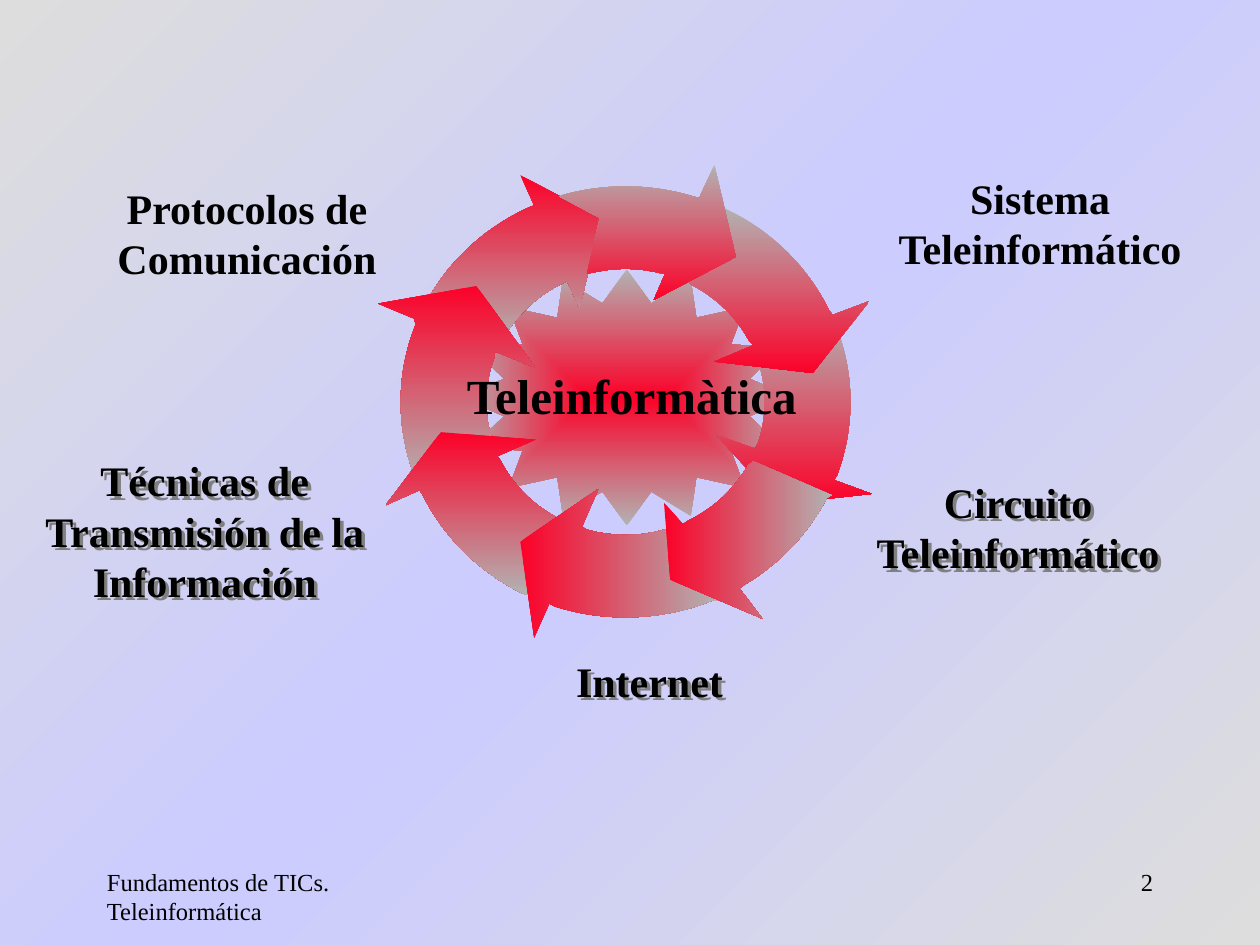
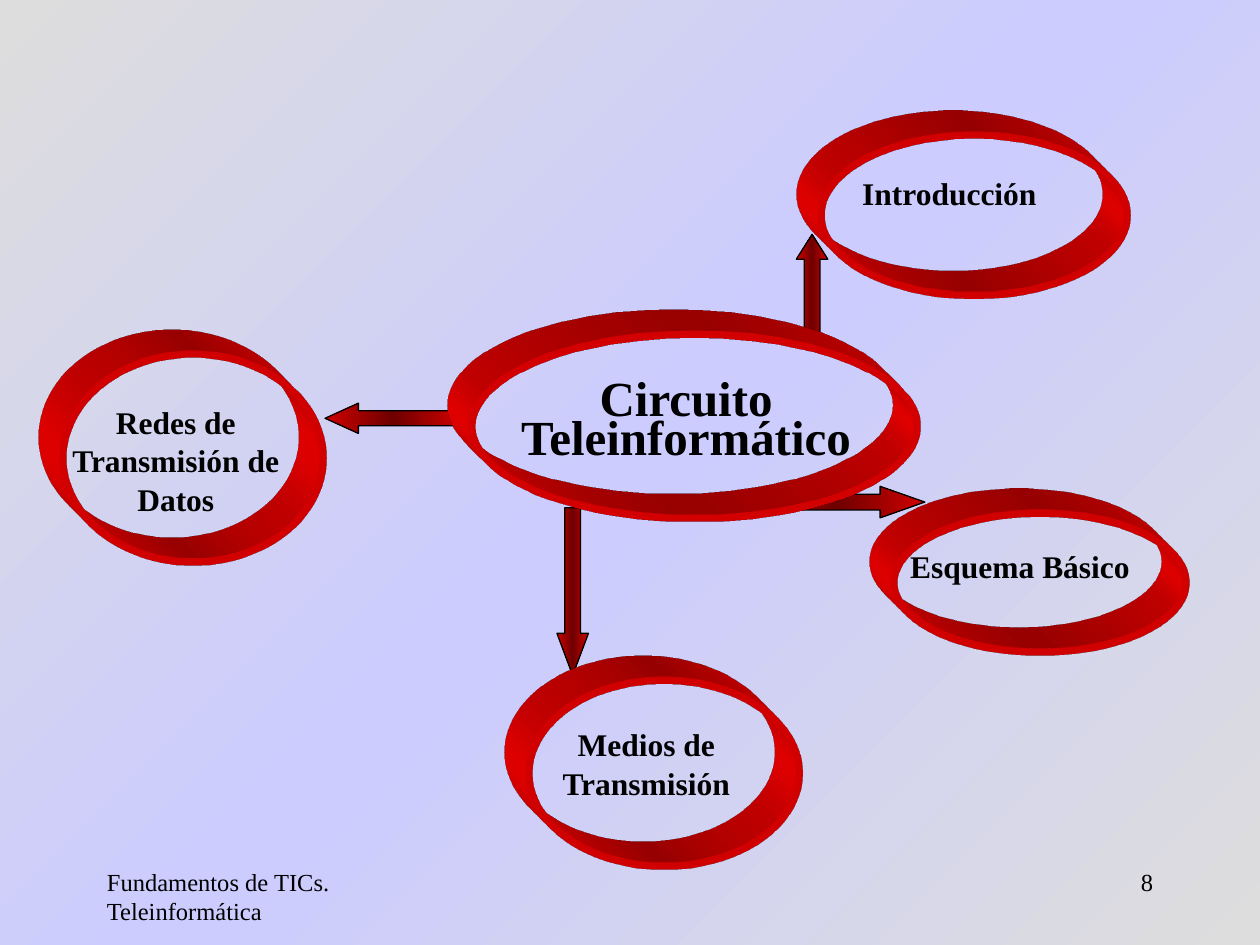
from math import atan2, cos, remainder, sin, tau

from pptx import Presentation
from pptx.dml.color import RGBColor
from pptx.enum.shapes import MSO_SHAPE as SHAPE
from pptx.enum.text import MSO_ANCHOR as ANCHOR, PP_ALIGN as ALIGN
from pptx.oxml import parse_xml
from pptx.oxml.ns import nsdecls, qn
from pptx.util import Pt

PX = 9144  # 100 px to the inch
FONT = "Times New Roman"
FOOTER = "Fundamentos de TICs. Teleinformática"
BLACK, RED, SHADE = "000000", "FF0000", "808080"
BACKDROP = ["DDDDDD", "CCCCFF", "DDDDDD"]
RED_GREY = ["FC0128", "B2B2B2"]
GREY_RED = RED_GREY[::-1]
ARROW_REDS = ["D00000", "6E0000", "D00000"]


def px(n):
    return round(n * PX)


def rgb(code):
    return RGBColor.from_string(code)


def arc_between(center, radii, p, q, steps):
    """Points from p to q along an ellipse, the short way round."""
    a, b = (atan2((y - center[1]) / radii[1], (x - center[0]) / radii[0])
            for x, y in (p, q))
    step = remainder(b - a, tau) / steps
    middle = [(center[0] + radii[0] * cos(a + i * step),
               center[1] + radii[1] * sin(a + i * step))
              for i in range(1, steps)]
    return [p] + middle + [q]


class Deck:
    def __init__(self):
        self.prs = Presentation()
        self.prs.slide_width, self.prs.slide_height = px(1000), px(750)
        self.s = None

    def slide(self, number):
        self.s = self.prs.slides.add_slide(self.prs.slide_layouts[6])
        self.gradient(self.s.background.fill, self.s.element, BACKDROP, 45)
        self.text(75, 683, 208, 50, FOOTER, 14, bold=False, align=ALIGN.LEFT)
        self.text(717, 683, 208, 50, str(number), 14, bold=False,
                  align=ALIGN.RIGHT)

    def gradient(self, fill, element, colors, angle=None):
        """Fill evenly spaced stops: linear, or from the middle if no angle."""
        fill.gradient()
        grad = element.find(".//" + qn("a:gradFill"))
        for child in list(grad):
            grad.remove(child)
        last = len(colors) - 1
        stops = "".join(
            f'<a:gs pos="{100000 * i // last}"><a:srgbClr val="{c}"/></a:gs>'
            for i, c in enumerate(colors))
        grad.append(parse_xml(f'<a:gsLst {nsdecls("a")}>{stops}</a:gsLst>'))
        if angle is None:
            grad.append(parse_xml(
                f'<a:path {nsdecls("a")} path="shape"><a:fillToRect l="50000" '
                't="50000" r="50000" b="50000"/></a:path>'))
        else:
            grad.append(parse_xml(
                f'<a:lin {nsdecls("a")} ang="{angle * 60000}" scaled="0"/>'))

    def style(self, sp, colors=None, angle=None, line=None, width=0.75):
        sp.shadow.inherit = False
        if line:
            sp.line.color.rgb = rgb(line)
            sp.line.width = Pt(width)
        else:
            sp.line.fill.background()
        if colors:
            self.gradient(sp.fill, sp.element, colors, angle)
        else:
            sp.fill.background()

    def shape(self, kind, x, y, w, h, adjust=(), **style):
        sp = self.s.shapes.add_shape(kind, px(x), px(y), px(w), px(h))
        for i, value in enumerate(adjust):
            sp.adjustments[i] = value
        self.style(sp, **style)
        return sp

    def outline(self, points, **style):
        points = [(px(x), px(y)) for x, y in points]
        builder = self.s.shapes.build_freeform(*points[0])
        builder.add_line_segments(points[1:], close=True)
        self.style(builder.convert_to_shape(), **style)

    def ring(self, x, y, w, h):
        """Ellipse outline extruded towards the upper left."""
        sp = self.shape(SHAPE.OVAL, x, y, w, h, line=RED, width=4.25)
        props = sp.element.spPr
        props.append(parse_xml(
            f'<a:scene3d {nsdecls("a")}>'
            '<a:camera prst="legacyObliqueTopLeft"/>'
            '<a:lightRig rig="legacyFlat3" dir="b"/></a:scene3d>'))
        props.append(parse_xml(
            f'<a:sp3d {nsdecls("a")} extrusionH="430200" '
            'prstMaterial="legacyMatte">'
            '<a:bevelT w="13500" h="13500" prst="angle"/>'
            '<a:bevelB w="13500" h="13500" prst="angle"/>'
            f'<a:extrusionClr><a:srgbClr val="{RED}"/></a:extrusionClr>'
            f'<a:contourClr><a:srgbClr val="{RED}"/></a:contourClr>'
            '</a:sp3d>'))

    def text(self, x, y, w, h, words, size, bold=True, align=ALIGN.CENTER,
             anchor=ANCHOR.TOP, spacing=None, shadow=False):
        box = self.s.shapes.add_textbox(px(x), px(y), px(w), px(h))
        tf = box.text_frame
        tf.word_wrap = True
        tf.vertical_anchor = anchor
        p = tf.paragraphs[0]
        p.alignment = align
        if spacing:
            p.line_spacing = Pt(spacing)
        r = p.add_run()
        r.text = words
        r.font.size, r.font.bold, r.font.name = Pt(size), bold, FONT
        r.font.color.rgb = rgb(BLACK)
        if shadow:
            box.element.spPr.append(parse_xml(
                f'<a:effectLst {nsdecls("a")}><a:outerShdw dist="35921" '
                f'dir="2700000" algn="ctr" rotWithShape="0">'
                f'<a:srgbClr val="{SHADE}"/></a:outerShdw></a:effectLst>'))


# Wheel of arrows: outer edge, head, inner edge and tail notch, colours, angle
HUB, OUTER, INNER = (496.5, 319), (178.5, 171), (110.5, 105.5)
WHEEL = [
    ([(335, 246), (424, 163)], [(413, 139), (477, 173), (460, 245)],
     [(450, 223), (396, 274)], [], RED_GREY, 90),
    ([(331, 384), (329, 253)], [(300, 241), (378, 227), (425, 292)],
     [(393, 279), (391, 347)], [], RED_GREY, 90),
    ([(418, 472), (333, 389)], [(306, 401), (350, 343), (425, 349)],
     [(395, 362), (447, 412)], [], RED_GREY, 90),
    ([(570, 477), (436, 479)], [(424, 506), (413, 430), (475, 388)],
     [(462, 418), (532, 420)], [], RED_GREY, 0),
    ([(662, 251), (662, 381)], [(692, 392), (619, 400), (568, 345)],
     [(599, 356), (602, 286)], [], GREY_RED, 90),
    ([(575, 165), (661, 250)], [(690, 239), (645, 296), (567, 287)],
     [(598, 274), (546, 224)], [], GREY_RED, 90),
    ([(444, 156), (555, 157)], [(567, 131), (584, 204), (519, 238)],
     [(528, 217), (466, 217)], [(476, 173)], GREY_RED, 90),
    ([(660, 393), (587, 467)], [(605, 491), (532, 460), (527, 399)],
     [(542, 416), (598, 366)], [], RED_GREY, 0),
]
# Wheel labels: box, words, shadow
TOPICS = [
    (667, 373, 282, 90, "Circuito Teleinformático", True),
    (0, 356, 325, 130, "Técnicas de Transmisión de la Información", True),
    (303, 515, 425, 50, "Internet", True),
    (42, 140, 308, 90, "Protocolos de Comunicación", False),
    (689, 132, 273, 90, "Sistema Teleinformático", False),
]
# Arrows leaving the central ring: kind, box, head length
BRANCHES = [
    (SHAPE.DOWN_ARROW, 442, 403, 25, 133, 1.33),
    (SHAPE.UP_ARROW, 632, 186, 25, 79, 0.79),
    (SHAPE.RIGHT_ARROW, 592, 386, 142, 25, 1.42),
    (SHAPE.LEFT_ARROW, 258, 320, 108, 24, 1.1),
]
# Rings: ellipse box, text box, words, size
RINGS = [
    ((652, 107, 242, 127), (630, 133, 247, 41), "Introducción", 18),
    ((50, 281, 206, 165), (32, 314, 215, 102),
     "Redes de Transmisión de Datos", 18),
    ((420, 540, 214, 147), (401, 570, 224, 71), "Medios de Transmisión", 18),
    ((375, 265, 353, 146), (375, 303, 339, 71),
     "Circuito Teleinformático", 28),
    ((710, 407, 231, 110), (689, 429, 241, 41), "Esquema Básico", 18),
]


def main():
    deck = Deck()

    # Topic wheel
    deck.slide(2)
    deck.shape(SHAPE.STAR_16_POINT, 365, 214, 265, 203, [0.375],
               colors=RED_GREY)
    for outer, head, inner, notch, colors, angle in WHEEL:
        points = (arc_between(HUB, OUTER, *outer, steps=30) + head
                  + arc_between(HUB, INNER, *inner, steps=16) + notch)
        deck.outline(points, colors=colors, angle=angle)
    deck.text(358, 223, 287, 119, "Teleinformàtica", 28, anchor=ANCHOR.BOTTOM)
    for x, y, w, h, words, shadow in TOPICS:
        deck.text(x, y, w, h, words, 24, shadow=shadow)

    # Circuit map
    deck.slide(8)
    for kind, x, y, w, h, head in BRANCHES:
        deck.shape(kind, x, y, w, h, [0.5, head], colors=ARROW_REDS, angle=0,
                   line=BLACK)
    for ellipse, box, words, size in RINGS:
        deck.ring(*ellipse)
        deck.text(*box, words, size, spacing=22)

    deck.prs.save("out.pptx")


if __name__ == "__main__":
    main()
